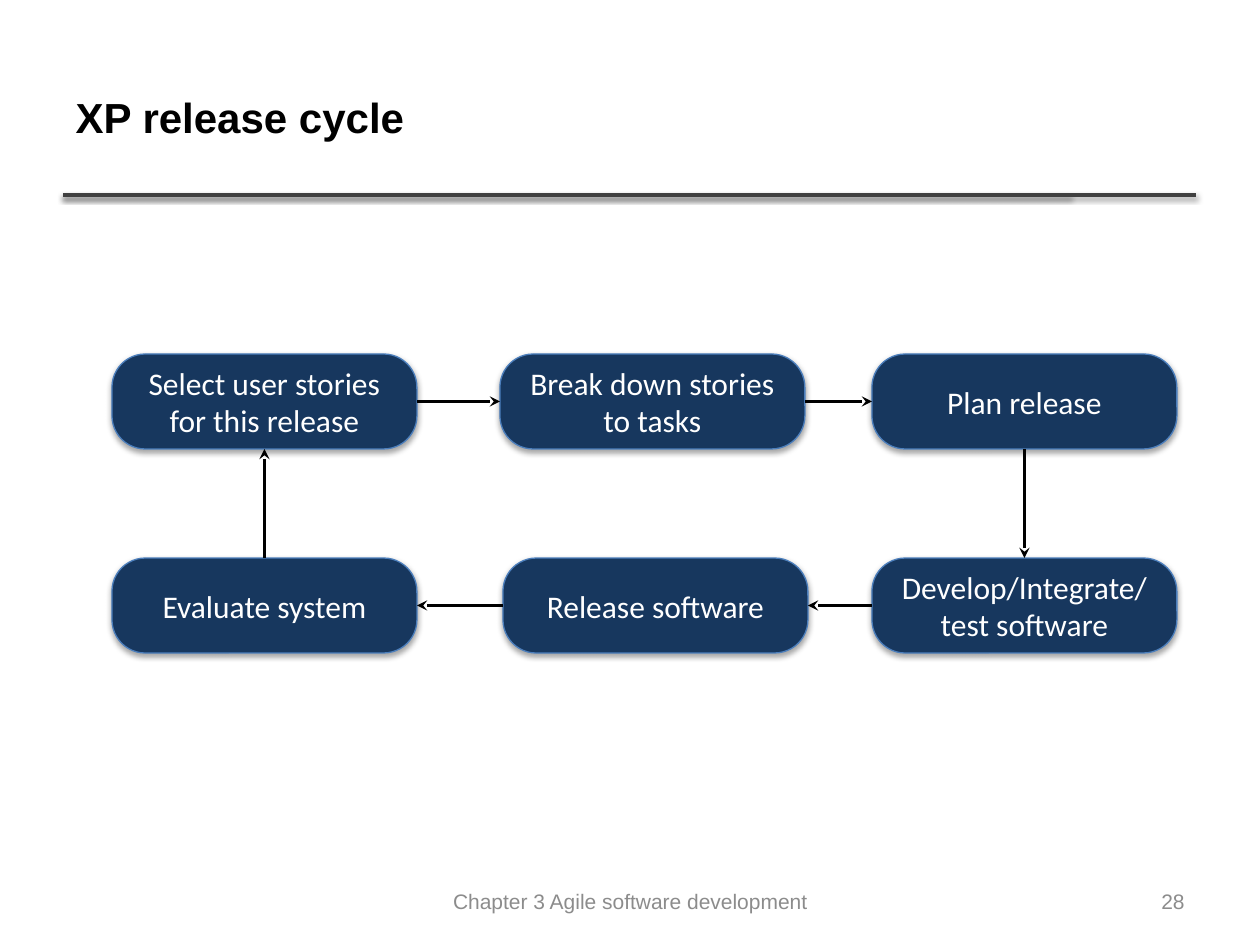
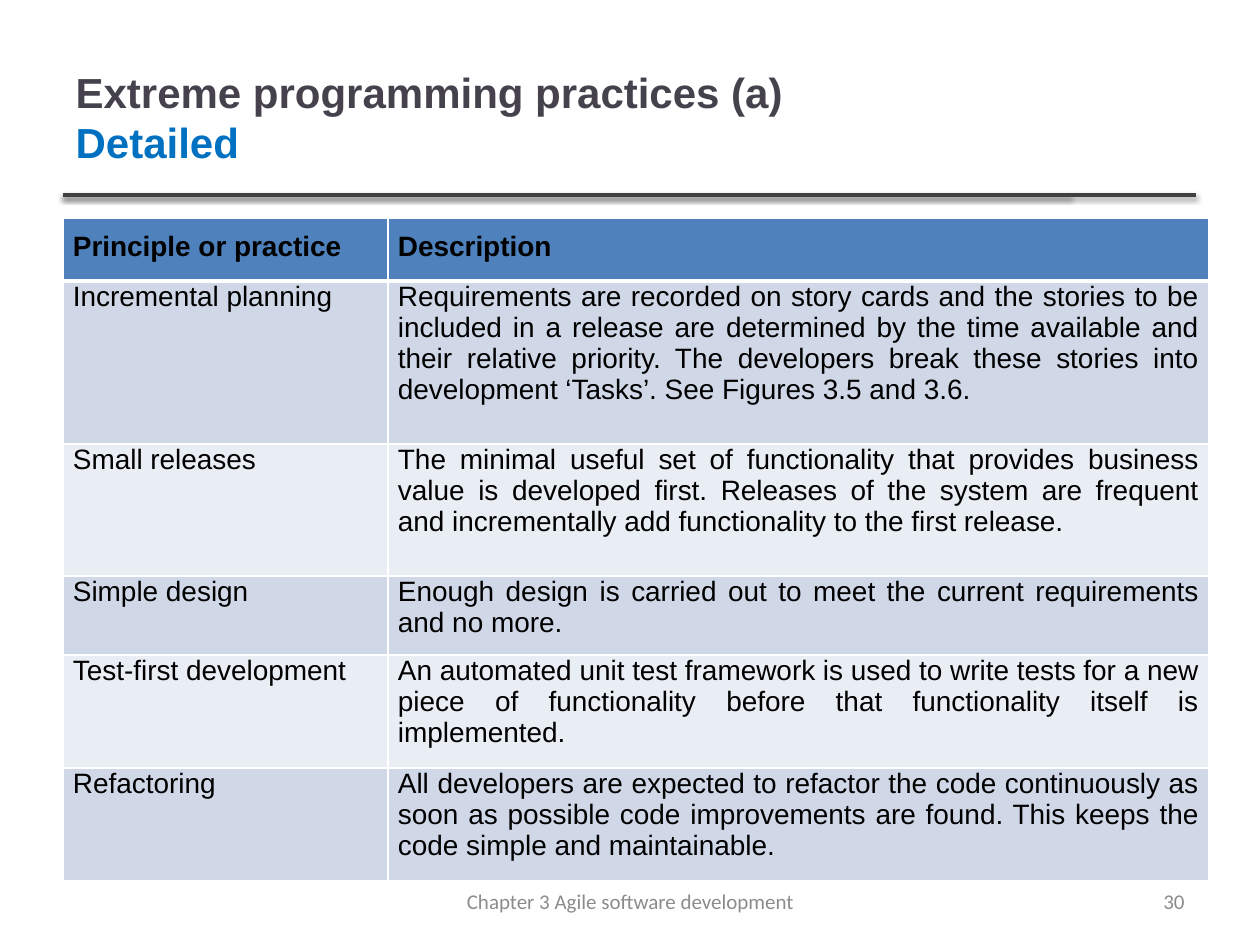
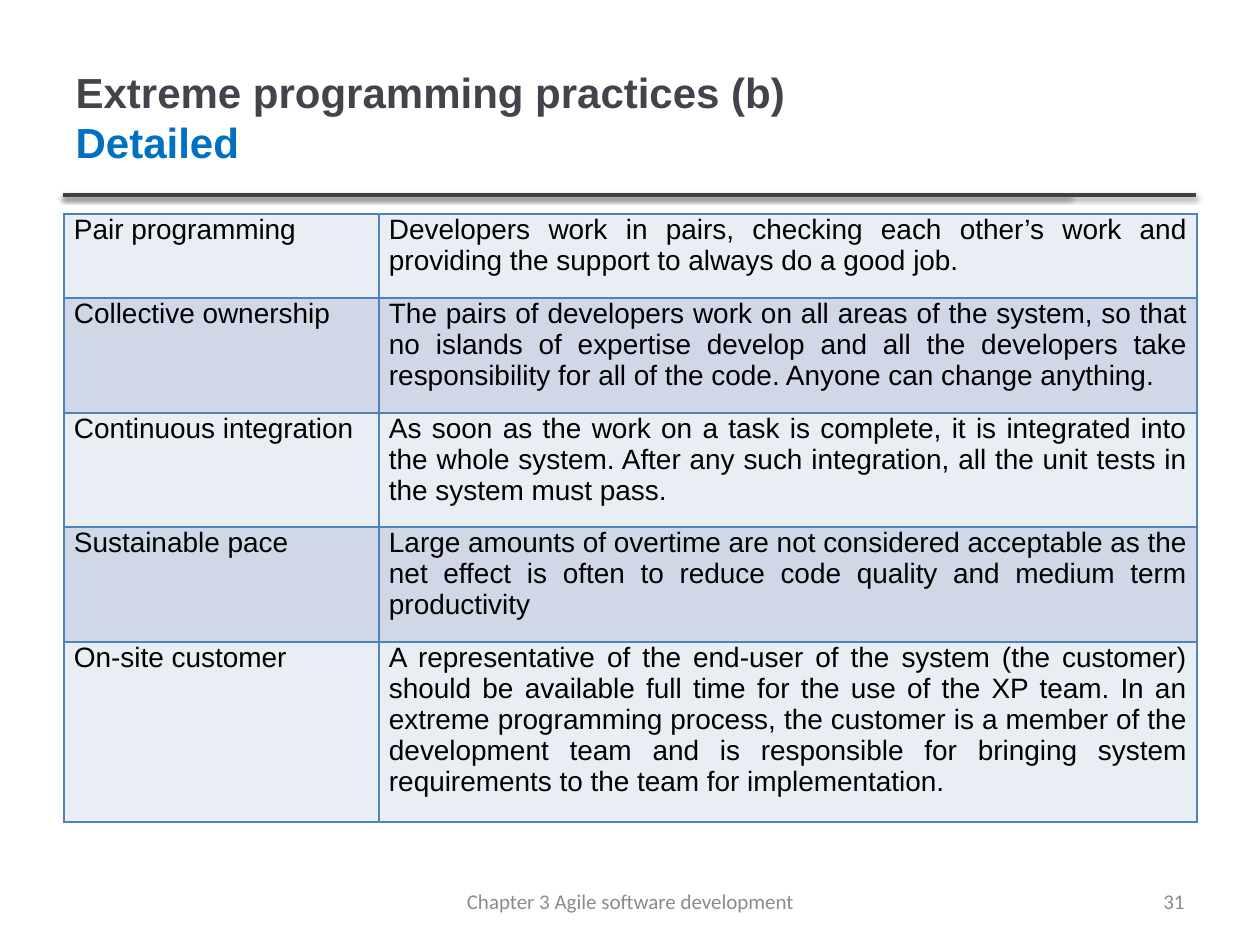
from dataclasses import dataclass
from itertools import product

from lxml.etree import SubElement
from pptx import Presentation
from pptx.dml.color import RGBColor
from pptx.enum.shapes import MSO_CONNECTOR, MSO_SHAPE
from pptx.enum.text import MSO_ANCHOR, MSO_AUTO_SIZE, PP_ALIGN
from pptx.oxml import parse_xml
from pptx.oxml.ns import nsdecls, qn
from pptx.util import Pt

SCALE = 914400 / 126


def px(size):
    return round(size * SCALE)


def rgb(code):
    return RGBColor.from_string(code)


@dataclass(frozen=True)
class Theme:
    black: str = "000000"
    white: str = "FFFFFF"
    slate: str = "46424D"
    accent: str = "0070C0"
    gray: str = "8C8C8C"
    rule: str = "404040"
    navy: str = "17375E"
    edge: str = "4B7EBC"
    head: str = "4F81BD"
    dark: str = "D0D8E8"
    light: str = "E9EDF4"
    sans: str = "Arial"
    body: str = "Calibri"
    title: int = 24
    label: int = 18
    cell: int = 16
    foot: int = 12


class Deck:
    def __init__(self, theme):
        self.theme = theme
        self.file = Presentation()
        self.file.slide_width, self.file.slide_height = px(1260), px(945)
        self.slide = None

    def start(self, title, number, font):
        theme = self.theme
        self.slide = self.file.slides.add_slide(self.file.slide_layouts[5])
        for right in (1070, 1196):
            self.rule(63, 195, right)
        self.title(title)
        self.note(903, 294, str(number), font, PP_ALIGN.RIGHT)
        self.note(431, 399, "Chapter 3 Agile software development", font, PP_ALIGN.CENTER)

    def run(self, para, text, size, color, font, bold=False):
        run = para.add_run()
        run.text = text
        run.font.size = Pt(size)
        run.font.name = font
        run.font.bold = bold
        run.font.color.rgb = rgb(color)

    def title(self, lines):
        theme = self.theme
        shape = self.slide.shapes.title
        shape.left, shape.top, shape.width, shape.height = map(px, (63, 38, 1006, 157))
        frame = shape.text_frame
        frame.auto_size = MSO_AUTO_SIZE.NONE
        frame.vertical_anchor = MSO_ANCHOR.MIDDLE
        para = frame.paragraphs[0]
        para.alignment = PP_ALIGN.LEFT
        for index, (text, color) in enumerate(lines):
            if index:
                para.add_line_break()
            self.run(para, text, theme.title, color, theme.sans, True)

    def note(self, left, width, text, font, align):
        theme = self.theme
        box = self.slide.shapes.add_textbox(px(left), px(876), px(width), px(50))
        frame = box.text_frame
        frame.word_wrap = True
        frame.vertical_anchor = MSO_ANCHOR.MIDDLE
        para = frame.paragraphs[0]
        para.alignment = align
        self.run(para, text, theme.foot, theme.gray, font)

    def shade(self, shape, alpha, drop):
        glow = SubElement(shape.element.spPr, qn("a:effectLst"))
        glow.append(parse_xml(
            f'<a:outerShdw {nsdecls("a")} blurRad="40000" dist="{drop}" dir="5400000" '
            f'rotWithShape="0"><a:srgbClr val="{self.theme.black}">'
            f'<a:alpha val="{alpha * 1000}"/></a:srgbClr></a:outerShdw>'))

    def line(self, color, width, ends=(0, 0, 0, 0)):
        line = self.slide.shapes.add_connector(MSO_CONNECTOR.STRAIGHT, *map(px, ends))
        line.line.color.rgb = rgb(color)
        line.line.width = Pt(width)
        return line

    def rule(self, left, top, right):
        line = self.line(self.theme.rule, 2, (left, top, right, top))
        self.shade(line, 38, 20000)

    def arrow(self, start, out, end, into):
        line = self.line(self.theme.black, 1.5)
        line.begin_connect(start, out)
        line.end_connect(end, into)
        props = line.element.spPr
        SubElement(props.find(qn("a:ln")), qn("a:tailEnd"), type="stealth")
        SubElement(props, qn("a:effectLst"))

    def step(self, left, top, text):
        theme = self.theme
        box = self.slide.shapes.add_shape(
            MSO_SHAPE.ROUNDED_RECTANGLE, px(left), px(top), px(305), px(95))
        box.adjustments[0] = 0.35
        box.fill.solid()
        box.fill.fore_color.rgb = rgb(theme.navy)
        box.line.color.rgb = rgb(theme.edge)
        box.line.width = Pt(0.75)
        self.shade(box, 35, 23000)
        frame = box.text_frame
        frame.word_wrap = True
        frame.vertical_anchor = MSO_ANCHOR.MIDDLE
        para = frame.paragraphs[0]
        para.alignment = PP_ALIGN.CENTER
        self.run(para, text, theme.label, theme.white, theme.body)
        return box

    def border(self, cell, color, top=1, bottom=1):
        props = cell._tc.get_or_add_tcPr()
        for spot, (side, width) in enumerate(zip("LRTB", (1, 1, top, bottom))):
            props.insert(spot, parse_xml(
                f'<a:ln{side} {nsdecls("a")} w="{Pt(width)}"><a:solidFill>'
                f'<a:srgbClr val="{color}"/></a:solidFill></a:ln{side}>'))

    def table(self, left, top, cols, rows, data, edge, fills, head=False):
        theme = self.theme
        grid = self.slide.shapes.add_table(
            len(rows), len(cols), px(left), px(top), px(sum(cols)), px(sum(rows))).table
        grid.first_row = head
        grid.horz_banding = False
        for col, width in zip(grid.columns, cols):
            col.width = px(width)
        for row, height in zip(grid.rows, rows):
            row.height = px(height)
        for y, x in product(range(len(rows)), range(len(cols))):
            cell = grid.cell(y, x)
            first = head and y == 0
            cell.margin_left = cell.margin_right = px(10)
            cell.margin_top = px(13 if first else 0)
            cell.margin_bottom = px(12)
            cell.vertical_anchor = MSO_ANCHOR.TOP
            cell.fill.solid()
            cell.fill.fore_color.rgb = rgb(theme.head if first else fills[y % 2])
            self.border(cell, edge, 3 if head and y == 1 else 1, 3 if first else 1)
            para = cell.text_frame.paragraphs[0]
            para.alignment = PP_ALIGN.JUSTIFY
            self.run(para, data[y][x], theme.cell, theme.black, theme.sans, first)

    def save(self):
        self.file.save("out.pptx")


CYCLE = [
    (112, 354, "Select user stories for this release", 3, 1),
    (500, 354, "Break down stories to tasks", 3, 1),
    (872, 354, "Plan release", 2, 0),
    (872, 558, "Develop/Integrate/test software", 1, 3),
    (503, 558, "Release software", 1, 3),
    (112, 558, "Evaluate system", 0, 2),
]

BASIC = [
    ("Principle or practice", "Description"),
    ("Incremental planning",
     "Requirements are recorded on story cards and the stories to be included in a release "
     "are determined by the time available and their relative priority. The developers break "
     "these stories into development ‘Tasks’. See Figures 3.5 and 3.6."),
    ("Small releases",
     "The minimal useful set of functionality that provides business value is developed first. "
     "Releases of the system are frequent and incrementally add functionality to the first "
     "release."),
    ("Simple design",
     "Enough design is carried out to meet the current requirements and no more."),
    ("Test-first development",
     "An automated unit test framework is used to write tests for a new piece of functionality "
     "before that functionality itself is implemented."),
    ("Refactoring",
     "All developers are expected to refactor the code continuously as soon as possible code "
     "improvements are found. This keeps the code simple and maintainable."),
]

TEAM = [
    ("Pair programming",
     "Developers work in pairs, checking each other’s work and providing the support to always "
     "do a good job."),
    ("Collective ownership",
     "The pairs of developers work on all areas of the system, so that no islands of expertise "
     "develop and all the developers take responsibility for all of the code. Anyone can change "
     "anything."),
    ("Continuous integration",
     "As soon as the work on a task is complete, it is integrated into the whole system. After "
     "any such integration, all the unit tests in the system must pass."),
    ("Sustainable pace",
     "Large amounts of overtime are not considered acceptable as the net effect is often to "
     "reduce code quality and medium term productivity"),
    ("On-site customer",
     "A representative of the end-user of the system (the customer) should be available full "
     "time for the use of the XP team. In an extreme programming process, the customer is a "
     "member of the development team and is responsible for bringing system requirements to "
     "the team for implementation."),
]


def main():
    theme = Theme()
    deck = Deck(theme)
    fills = (theme.light, theme.dark)

    deck.start([("XP release cycle", theme.black)], 28, theme.sans)
    steps = [deck.step(left, top, text) for left, top, text, _, _ in CYCLE]
    for start, end, (*_, out, into) in zip(steps, steps[1:] + steps[:1], CYCLE):
        deck.arrow(start, out, end, into)

    detail = ("Detailed", theme.accent)
    deck.start([("Extreme programming practices (a)", theme.slate), detail], 30, theme.body)
    deck.table(63, 218, (325, 821), (63, 163, 132, 75, 106, 105), BASIC,
               theme.white, fills, True)

    deck.start([("Extreme programming practices (b)", theme.slate), detail], 31, theme.body)
    deck.table(64, 214, (315, 818), (84, 115, 114, 115, 176), TEAM, theme.head, fills)

    deck.save()


if __name__ == "__main__":
    main()
